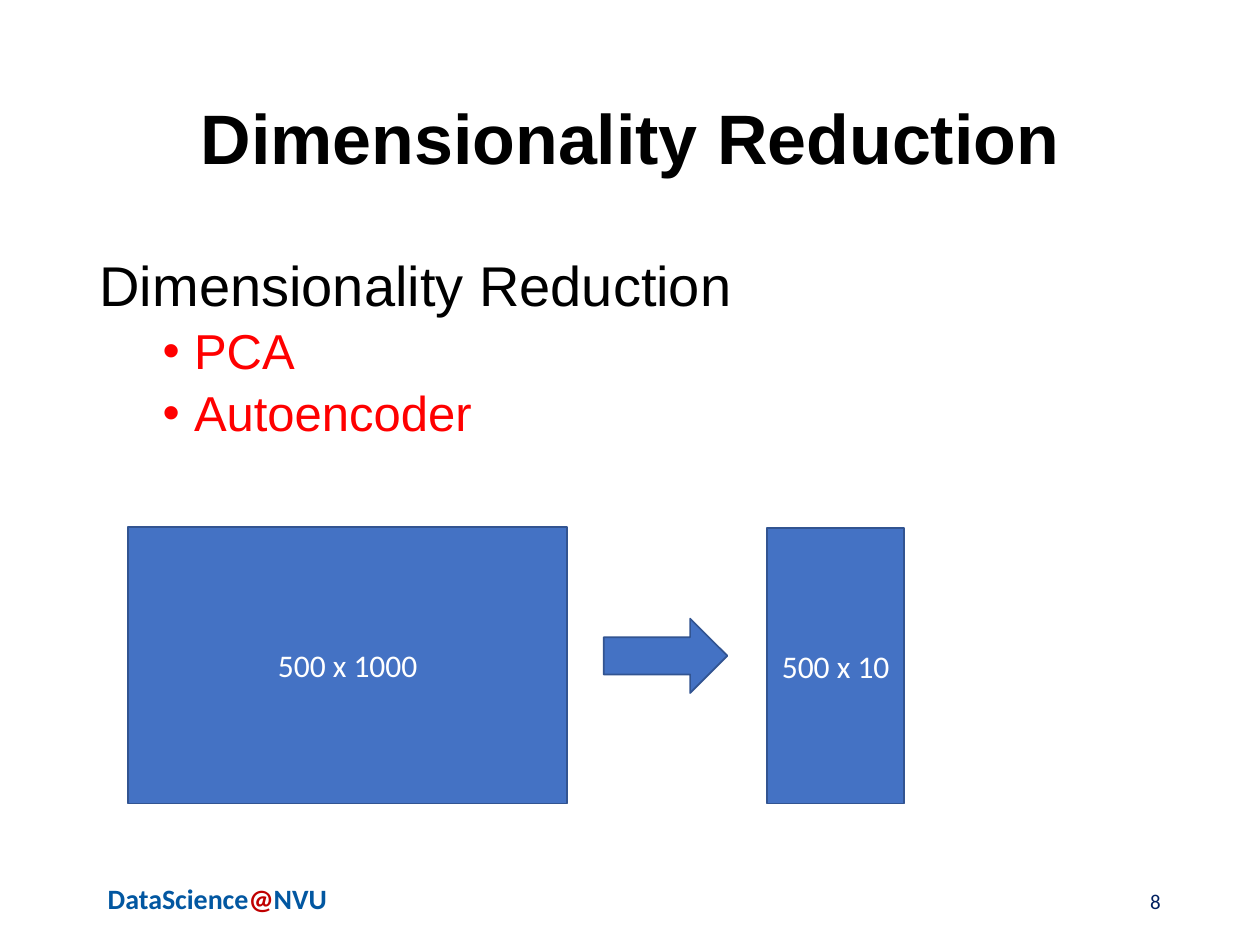
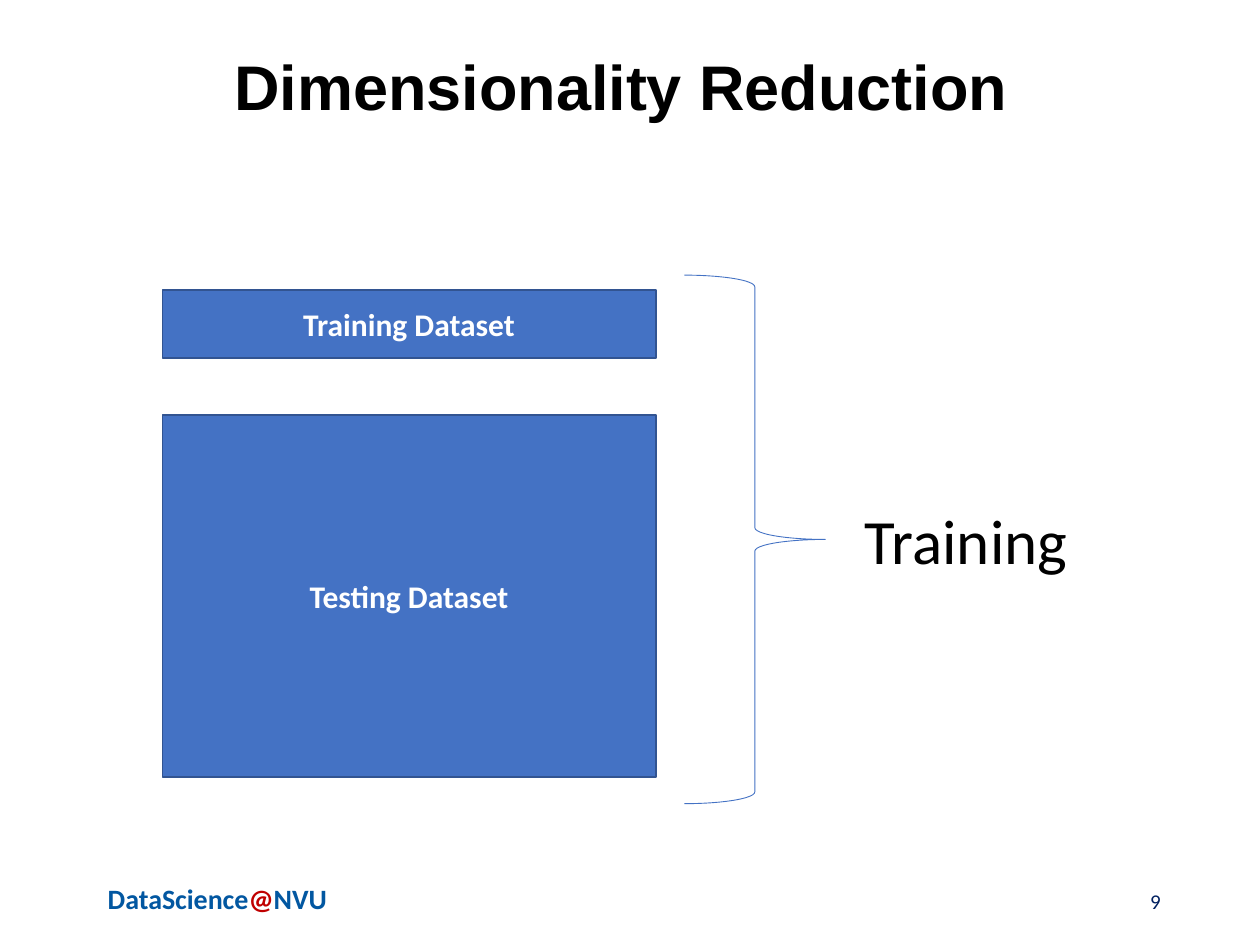
from lxml import etree
from pptx import Presentation
from pptx.dml.color import RGBColor
from pptx.enum import shapes, text
from pptx.oxml import ns
from pptx.util import Pt

BLUE = RGBColor(0x44, 0x72, 0xC4)
EDGE = RGBColor(0x32, 0x54, 0x91)
BRAND = RGBColor(0x02, 0x57, 0xA1)
CRIMSON = RGBColor(0xC0, 0x00, 0x00)
NAVY = RGBColor(0x00, 0x20, 0x60)
RED = RGBColor(0xFF, 0x00, 0x00)
BLACK = RGBColor(0x00, 0x00, 0x00)
WHITE = RGBColor(0xFF, 0xFF, 0xFF)

RECT = shapes.MSO_SHAPE.RECTANGLE
ARROW = shapes.MSO_SHAPE.RIGHT_ARROW
BRACE = shapes.MSO_SHAPE.LEFT_BRACE
LEFT, CENTER, RIGHT = text.PP_ALIGN.LEFT, text.PP_ALIGN.CENTER, text.PP_ALIGN.RIGHT
TOP, MIDDLE = text.MSO_ANCHOR.TOP, text.MSO_ANCHOR.MIDDLE

# Content; boxes are left, top, width, height in points
MARGIN, CONTENT_W = 49.7, 620.6
TITLE = "Dimensionality Reduction"
FOOTER = [("DataScience", BRAND), ("@", CRIMSON), ("NVU", BRAND)]
FOOTER_BOX = (MARGIN, 500.4, 149, 38.2)
NUMBER_BOX = (508.3, 500.4, 162, 28.8)

METHODS = ["PCA", "Autoencoder"]
BODY_BOX = (MARGIN, 144, CONTENT_W, 342.7)
MATRICES = [
    (RECT, (73.3, 301, 250.8, 158.2), "500 x 1000"),
    (ARROW, (345, 353.5, 70.6, 42.5), ""),
    (RECT, (438.3, 301.6, 78.5, 157.6), "500 x 10"),
]

DATA_LEFT, DATA_W = 92.9, 281.8
DATASETS = [("Training Dataset", 165.8, 38.7), ("Testing Dataset", 237, 207.2)]
BRACE_BOX = (391, 157.2, 80.6, 302)
PHASE, PHASE_BOX = "Training", (487.2, 283, 136, 51)


def write(p, words, size, color, font="Calibri", bold=False, align=None):
    r = p.add_run()
    r.text = words
    r.font.size, r.font.name, r.font.bold = Pt(size), font, bold
    r.font.color.rgb = color
    if align is not None:
        p.alignment = align


def place(sp, box):
    sp.left, sp.top, sp.width, sp.height = map(Pt, box)


def bullet(p, char=None, left=0, indent=0):
    pPr = p._p.get_or_add_pPr()
    pPr.set("marL", str(Pt(left)))
    pPr.set("indent", str(Pt(indent)))
    if char:
        etree.SubElement(pPr, ns.qn("a:buFont")).set("typeface", "Arial")
        etree.SubElement(pPr, ns.qn("a:buChar")).set("char", char)
    else:
        etree.SubElement(pPr, ns.qn("a:buNone"))


def add_text(s, box, anchor=TOP):
    tf = s.shapes.add_textbox(*map(Pt, box)).text_frame
    tf.word_wrap, tf.vertical_anchor = True, anchor
    return tf.paragraphs[0]


def add_block(s, kind, box, label="", bold=False):
    sp = s.shapes.add_shape(kind, *map(Pt, box))
    sp.shadow.inherit = False
    sp.fill.solid()
    sp.fill.fore_color.rgb = BLUE
    sp.line.color.rgb, sp.line.width = EDGE, Pt(1)
    if label:
        sp.text_frame.vertical_anchor = MIDDLE
        write(sp.text_frame.paragraphs[0], label, 18, WHITE, bold=bold, align=CENTER)
    return sp


def add_slide(prs, layout, number, title_top, title_height, title_size):
    s = prs.slides.add_slide(prs.slide_layouts[layout])
    # Footer
    p = add_text(s, FOOTER_BOX)
    for words, color in FOOTER:
        write(p, words, 16, color, bold=True, align=CENTER)
    # Title
    place(s.shapes.title, (MARGIN, title_top, CONTENT_W, title_height))
    tf = s.shapes.title.text_frame
    tf.auto_size, tf.vertical_anchor = text.MSO_AUTO_SIZE.NONE, MIDDLE
    tf.paragraphs[0].line_spacing = 0.9
    write(tf.paragraphs[0], TITLE, title_size, BLACK, "Arial", True, CENTER)
    # Slide number
    write(add_text(s, NUMBER_BOX, MIDDLE), str(number), 12, NAVY, align=RIGHT)
    return s


def build_methods(prs):
    s = add_slide(prs, 1, 8, 28.8, 104.4, 40)
    # Method list
    body = s.placeholders[1]
    place(body, BODY_BOX)
    tf = body.text_frame
    tf.auto_size, tf.vertical_anchor = text.MSO_AUTO_SIZE.NONE, TOP
    p = tf.paragraphs[0]
    p.line_spacing, p.space_before = 0.9, Pt(10)
    bullet(p)
    write(p, TITLE, 32, BLACK, "Arial", align=LEFT)
    for method in METHODS:
        p = tf.add_paragraph()
        p.level, p.line_spacing, p.space_before = 1, 0.9, Pt(5)
        bullet(p, "•", 54, -18)
        write(p, method, 28, RED, "Arial", align=LEFT)
    # Matrix before and after reduction
    for kind, box, label in MATRICES:
        add_block(s, kind, box, label)


def build_datasets(prs):
    s = add_slide(prs, 5, 9, 24.5, 91.4, 36)
    # Title sits high and slightly left in its box
    tf = s.shapes.title.text_frame
    tf.vertical_anchor = TOP
    tf.margin_top, tf.margin_right = Pt(7.5), Pt(17.2)
    # Datasets
    for label, top, height in DATASETS:
        add_block(s, RECT, (DATA_LEFT, top, DATA_W, height), label, bold=True)
    # Brace and phase
    brace = add_block(s, BRACE, BRACE_BOX)
    brace.fill.background()
    brace.line.color.rgb, brace.line.width = BLUE, Pt(0.5)
    brace.rotation = 180
    write(add_text(s, PHASE_BOX), PHASE, 36, BLACK)


def main():
    prs = Presentation()
    prs.slide_width, prs.slide_height = Pt(720), Pt(540)
    build_methods(prs)
    build_datasets(prs)
    prs.save("out.pptx")


if __name__ == "__main__":
    main()
